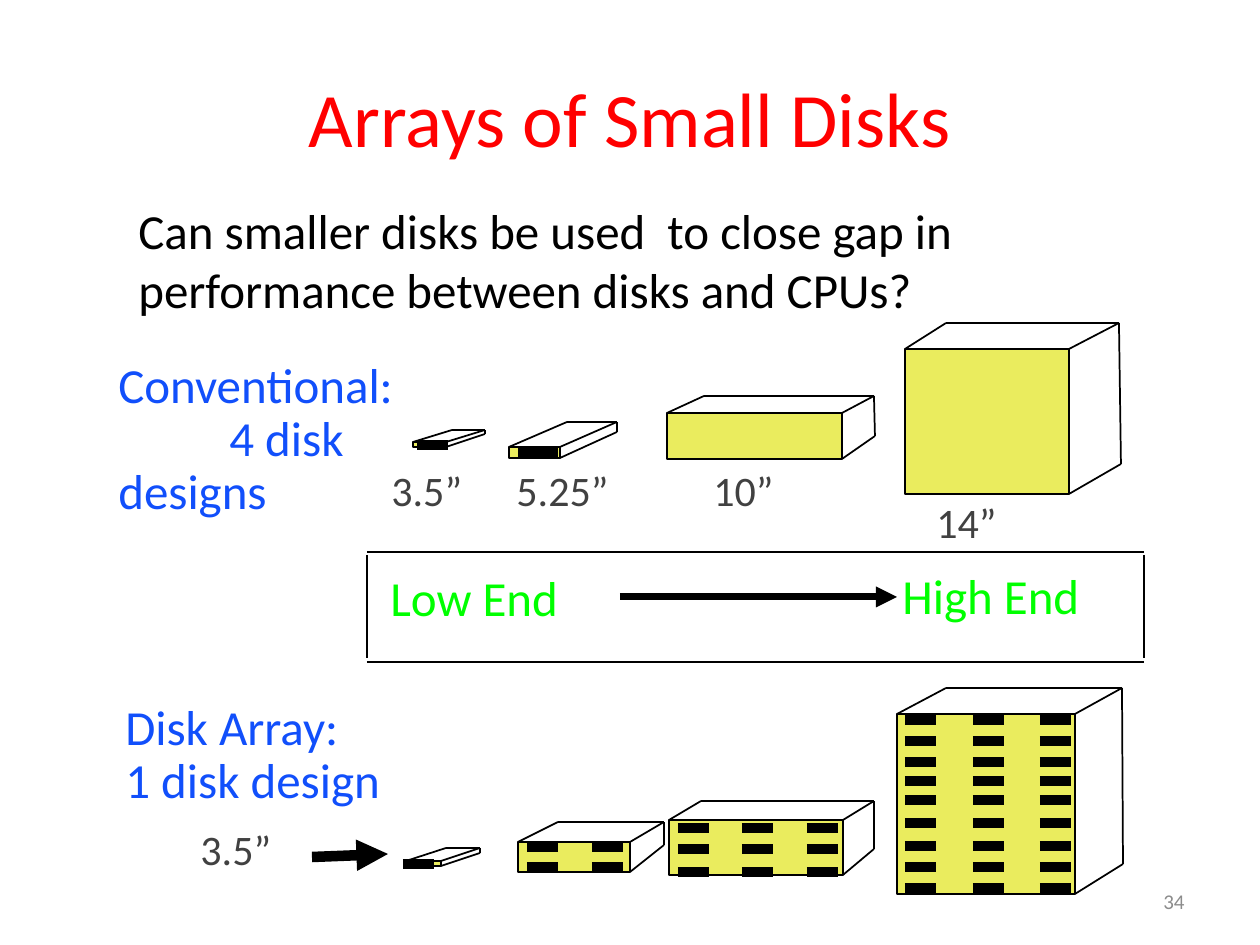
from itertools import product

from lxml import etree
from pptx import Presentation
from pptx import util as u
from pptx.dml.color import RGBColor
from pptx.enum import shapes, text
from pptx.oxml import ns

PX_PER_INCH = 126
FONT = "Calibri"
RED = RGBColor(0xFF, 0x00, 0x00)
BLACK = RGBColor(0x00, 0x00, 0x00)
BLUE = RGBColor(0x11, 0x4F, 0xFB)
GREEN = RGBColor(0x00, 0xFF, 0x00)
YELLOW = RGBColor(0xEA, 0xEC, 0x5E)
DARK_GRAY = RGBColor(0x41, 0x41, 0x41)
GRAY = RGBColor(0x8C, 0x8C, 0x8C)

DISKS = [
    ((413, 442, 33, 5), (452, 430), (485, 430), (485, 434)),
    ((509, 447, 51, 11), (567, 422), (617, 422), (617, 432)),
    ((667, 413, 175, 46), (704, 396), (874, 396), (875, 436)),
    ((905, 349, 164, 145), (946, 323), (1119, 323), (1121, 464)),
    ((406, 861, 35, 5), (446, 848), (480, 848), (480, 853)),
    ((518, 842, 112, 30), (558, 822), (664, 822), (664, 845)),
    ((669, 820, 174, 55), (701, 801), (874, 801), (874, 849)),
    ((897, 714, 178, 180), (946, 688), (1122, 688), (1123, 864)),
]
BAY_WIDTH = 31
BAY_GRIDS = [
    ([417], [445]),
    ([403], [864]),
    ([527, 592], [847, 867]),
    ([678, 742, 807], [828, 849, 872]),
    ([905, 973, 1040], [720, 741, 762, 781, 800, 823, 846, 867, 888]),
]
SIZE_LABELS = [
    ("3.5”", 379, 464, 173),
    ("5.25”", 504, 464, 173),
    ("10”", 701, 464, 123),
    ("14”", 924, 496, 115),
    ("3.5”", 188, 823, 173),
]
FRAME = (367, 552, 1144, 662)


def px(length):
    return u.Emu(round(length * u.Inches(1) / PX_PER_INCH))


def format_text(frame, size, color, align, spacing=1.0):
    for para in frame.paragraphs:
        para.alignment = align
        para.line_spacing = spacing
        for span in para.runs:
            span.font.size = u.Pt(size)
            span.font.name = FONT
            span.font.color.rgb = color


def add_text(page, words, area, size, color, spacing=0.9, align=text.PP_ALIGN.LEFT):
    frame = page.shapes.add_textbox(*map(px, area)).text_frame
    frame.word_wrap = True
    frame.text = words
    format_text(frame, size, color, align, spacing)
    return frame


def indent(para, length):
    para._p.get_or_add_pPr().set("marL", str(px(length)))


def add_line(page, start, end, weight=1, arrow=False):
    line = page.shapes.add_connector(
        shapes.MSO_CONNECTOR.STRAIGHT, *map(px, (*start, *end)))
    line.line.color.rgb = BLACK
    line.line.width = u.Pt(weight)
    if arrow:
        tail = etree.SubElement(line.line._get_or_add_ln(), ns.qn("a:tailEnd"))
        tail.set("type", "triangle")
    etree.SubElement(line._element.spPr, ns.qn("a:effectLst"))


def add_disk(page, front, back_left, back_right, back_bottom):
    left, top, width, height = front
    right, bottom = left + width, top + height
    face = page.shapes.add_shape(shapes.MSO_SHAPE.RECTANGLE, *map(px, front))
    face.shadow.inherit = False
    face.fill.solid()
    face.fill.fore_color.rgb = YELLOW
    face.line.color.rgb = BLACK
    face.line.width = u.Pt(1)
    add_line(page, (left, top), back_left)
    add_line(page, (right, top), back_right)
    add_line(page, (right, bottom), back_bottom)
    add_line(page, back_left, back_right)
    add_line(page, back_right, back_bottom)


def add_bays(page, columns, rows, width=BAY_WIDTH):
    for x, y in product(columns, rows):
        add_line(page, (x, y), (x + width, y), 6)


def add_frame(page, left, top, right, bottom):
    for y in (top, bottom):
        add_line(page, (left, y), (right, y))
    for x in (left, right):
        add_line(page, (x, top + 3), (x, bottom - 4))


def add_title(page, words):
    title = page.shapes.title
    title.left, title.top, title.width, title.height = map(px, (63, 38, 1134, 157))
    title.text_frame.text = words
    title.text_frame.vertical_anchor = text.MSO_ANCHOR.MIDDLE
    format_text(title.text_frame, 44, RED, text.PP_ALIGN.CENTER)


def main():
    deck = Presentation()
    deck.slide_width, deck.slide_height = px(1260), px(945)
    page = deck.slides.add_slide(deck.slide_layouts[5])
    add_title(page, "Arrays of Small Disks")

    question = add_text(
        page,
        "Can smaller disks be used  to close gap in performance between disks and CPUs?",
        (63, 194, 1124, 131), 28, BLACK, 1.0)
    indent(question.paragraphs[0], 63)
    number = add_text(page, "34", (903, 876, 294, 50), 12, GRAY, 1.0,
                      text.PP_ALIGN.RIGHT)
    number.vertical_anchor = text.MSO_ANCHOR.MIDDLE

    for disk in DISKS:
        add_disk(page, *disk)
    for words, left, top, width in SIZE_LABELS:
        add_text(page, words, (left, top, width, 59), 24, DARK_GRAY)

    add_text(page, "Disk Array:\n1 disk design", (113, 697, 364, 120), 28, BLUE)
    conventional = add_text(page, "Conventional:\n4 disk\ndesigns",
                            (106, 355, 367, 174), 28, BLUE)
    indent(conventional.paragraphs[1], 111)
    add_text(page, "Low End", (378, 568, 243, 67), 28, GREEN)
    add_text(page, "High End", (890, 566, 243, 67), 28, GREEN)

    add_line(page, (312, 857), (388, 854), 6, arrow=True)
    add_line(page, (620, 597), (897, 597), 4, arrow=True)
    add_frame(page, *FRAME)
    for columns, rows in BAY_GRIDS:
        add_bays(page, columns, rows)
    add_bays(page, [518], [453], 40)
    deck.save("out.pptx")


if __name__ == "__main__":
    main()
